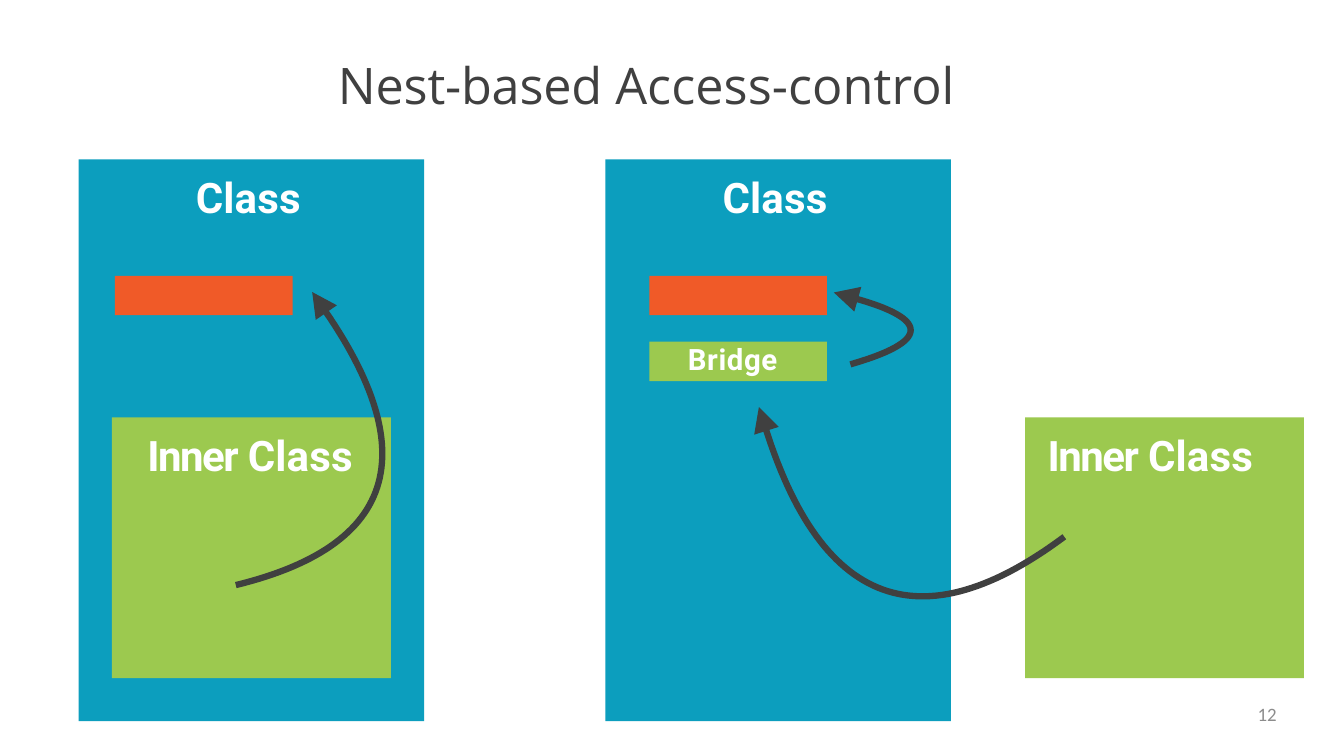
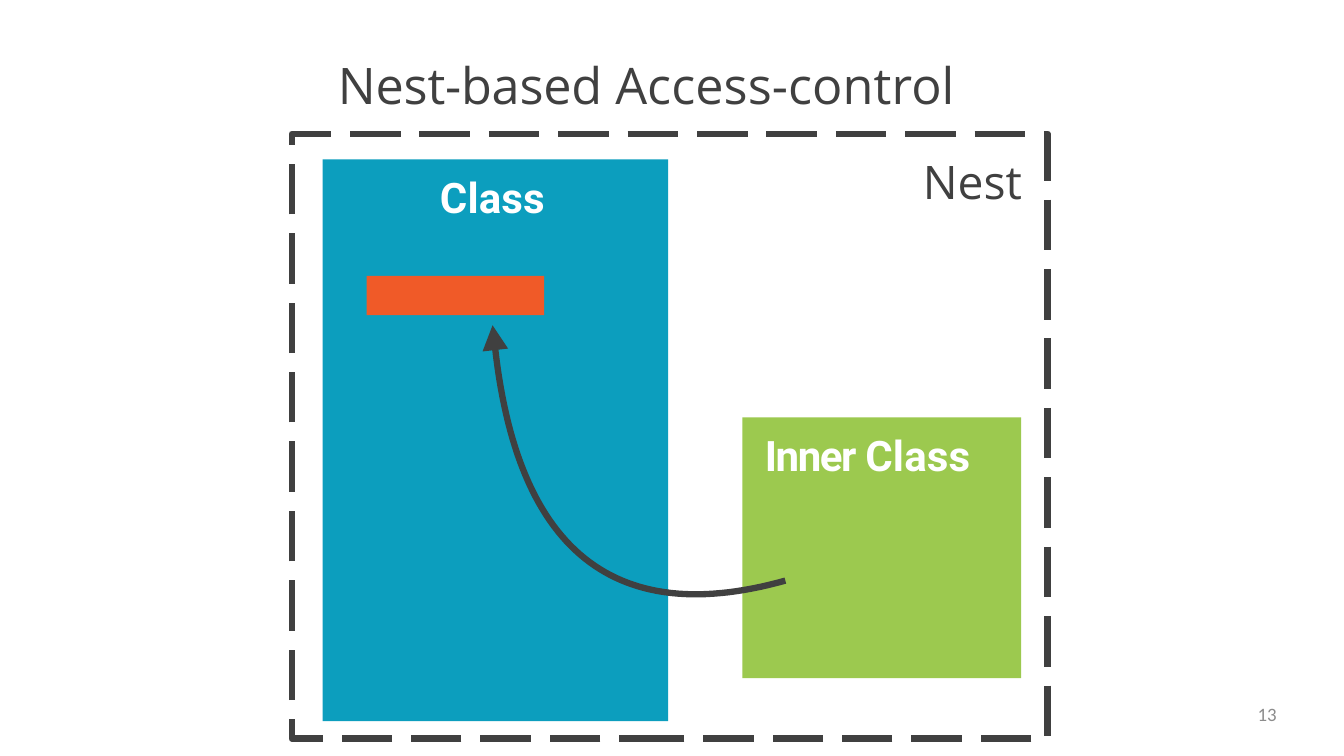
from dataclasses import dataclass
from math import hypot

from pptx import Presentation
from pptx import util as u
from pptx.dml.color import RGBColor
from pptx.enum import dml, shapes, text

COLS, ROWS = 17.78, 10
CELL = u.Inches(1)

Point = tuple[float, float]
Runs = tuple[tuple[str, float], ...]


@dataclass(frozen=True)
class Theme:
    ink: str = "404040"
    blue: str = "0C9EBE"
    green: str = "9CC94F"
    red: str = "F05A28"
    white: str = "FFFFFF"
    grey: str = "8C8C8C"
    head: str = "Open Sans"
    body: str = "Roboto"
    foot: str = "Calibri"
    title: int = 48
    nest: int = 44
    label: int = 40
    small: int = 28
    page: int = 18
    line: int = 6


@dataclass(frozen=True)
class Box:
    col: float
    row: float
    wide: float
    high: float

    def emu(self) -> list[int]:
        return [grid(n) for n in (self.col, self.row, self.wide, self.high)]


@dataclass(frozen=True)
class Style:
    font: str
    size: int
    color: str
    bold: bool = False


@dataclass(frozen=True)
class Arrow:
    start: Point
    bend: Point
    end: Point


THEME = Theme()
TITLE = Style(THEME.head, THEME.title, THEME.ink)
NEST = Style(THEME.head, THEME.nest, THEME.ink)
LABEL = Style(THEME.body, THEME.label, THEME.white, True)
SMALL = Style(THEME.body, THEME.small, THEME.white, True)
PAGE = Style(THEME.foot, THEME.page, THEME.grey)

TOP, INNER_TOP, FIELD_TOP, BRIDGE_TOP = 2.11, 5.52, 3.65, 4.52
BAR_WIDE, BAR_HIGH = 2.35, 0.52
LABEL_DROP, LABEL_HIGH = 0.16, 0.68
HEAD_LONG, HEAD_HALF, HEAD_OUT = 0.33, 0.17, 0.3
STEPS = 60


def grid(cells: float) -> int:
    return round(cells * CELL)


def paint(shape, fill: str | None = None, line: str | None = None) -> None:
    shape.shadow.inherit = False
    if fill:
        shape.fill.solid()
        shape.fill.fore_color.rgb = RGBColor.from_string(fill)
    else:
        shape.fill.background()
    if line:
        shape.line.color.rgb = RGBColor.from_string(line)
        shape.line.width = u.Pt(THEME.line)
    else:
        shape.line.fill.background()


def write(shape, runs: Runs, style: Style, align=text.PP_ALIGN.LEFT, indent: float = 0):
    frame = shape.text_frame
    frame.word_wrap = True
    frame.vertical_anchor = text.MSO_ANCHOR.TOP
    frame.margin_top = frame.margin_right = frame.margin_bottom = 0
    frame.margin_left = grid(indent)
    para = frame.paragraphs[0]
    para.alignment = align
    font = para.font
    font.name, font.size, font.bold = style.font, u.Pt(style.size), style.bold
    font.color.rgb = RGBColor.from_string(style.color)
    for words, space in runs:
        run = para.add_run()
        run.text = words
        if space:
            run._r.get_or_add_rPr().set("spc", str(round(space * 100)))
    return para


def note(slide, box: Box, runs: Runs, style: Style, align=text.PP_ALIGN.LEFT) -> None:
    write(slide.shapes.add_textbox(*box.emu()), runs, style, align)


def block(slide, box: Box, fill: str | None, line: str | None = None):
    shape = slide.shapes.add_shape(shapes.MSO_SHAPE.RECTANGLE, *box.emu())
    paint(shape, fill, line)
    return shape


def trace(slide, points: list[Point], close: bool):
    spots = [(grid(x), grid(y)) for x, y in points]
    pen = slide.shapes.build_freeform(*spots[0])
    pen.add_line_segments(spots[1:], close=close)
    return pen.convert_to_shape()


def draw(slide, arrow: Arrow) -> None:
    (ax, ay), (bx, by), (cx, cy) = arrow.start, arrow.bend, arrow.end
    curve = []
    for step in range(STEPS + 1):
        t = step / STEPS
        p, q, r = (1 - t) ** 2, 2 * t * (1 - t), t * t
        curve.append((p * ax + q * bx + r * cx, p * ay + q * by + r * cy))
    paint(trace(slide, curve, False), line=THEME.ink)

    size = hypot(bx - ax, by - ay)
    dx, dy = (bx - ax) / size, (by - ay) / size
    tip = (ax - HEAD_OUT * dx, ay - HEAD_OUT * dy)
    mx, my = tip[0] + HEAD_LONG * dx, tip[1] + HEAD_LONG * dy
    sides = [(mx + k * dy, my - k * dx) for k in (-HEAD_HALF, HEAD_HALF)]
    paint(trace(slide, [tip, *sides], True), fill=THEME.ink)


def outer(slide, col: float) -> None:
    block(slide, Box(col, TOP, 4.57, 7.43), THEME.blue)
    note(slide, Box(col + 1.55, TOP + LABEL_DROP, 2, LABEL_HIGH), (("Class", 0.2),), LABEL)


def inner(slide, col: float, inset: float = 0.3) -> None:
    block(slide, Box(col, INNER_TOP, 3.69, 3.45), THEME.green)
    box = Box(col + inset, INNER_TOP + LABEL_DROP, 3.2, LABEL_HIGH)
    note(slide, box, (("Inner ", -1.4), ("Class", 0.2)), LABEL)


def bar(slide, col: float, row: float, fill: str):
    return block(slide, Box(col, row, BAR_WIDE, BAR_HIGH), fill)


def bridge(slide, col: float) -> None:
    shape = bar(slide, col, BRIDGE_TOP, THEME.green)
    para = write(shape, (("Bridge", 0.6),), SMALL, indent=0.51)
    para.line_spacing = u.Pt(33.1)


def start(deck, page: int):
    slide = deck.slides.add_slide(deck.slide_layouts[6])
    title = (("Nest-based ", -0.2), ("Access-control", 0.1))
    note(slide, Box(4.47, 0.72, 8.86, 0.82), title, TITLE)
    note(slide, Box(12.8, 9.3, 4.09, 0.5), ((str(page), 0),), PAGE, text.PP_ALIGN.RIGHT)
    return slide


def bridged(deck) -> None:
    slide = start(deck, 12)
    outer(slide, 1.04)
    inner(slide, 1.48, 0.47)
    bar(slide, 1.52, FIELD_TOP, THEME.red)
    draw(slide, Arrow((4.3, 4.11), (6.27, 6.97), (3.12, 7.74)))
    outer(slide, 8.01)
    inner(slide, 13.56)
    bar(slide, 8.59, FIELD_TOP, THEME.red)
    bridge(slide, 8.59)
    draw(slide, Arrow((10.13, 5.67), (11.25, 9.21), (14.08, 7.1)))
    draw(slide, Arrow((11.32, 3.95), (12.81, 4.37), (11.25, 4.82)))


def nested(deck) -> None:
    slide = start(deck, 13)
    frame = block(slide, Box(3.86, 1.77, 10, 8), None, THEME.ink)
    frame.line.dash_style = dml.MSO_LINE.LONG_DASH
    note(slide, Box(12.21, 2.03, 1.5, 0.75), (("Nest", 0),), NEST)
    outer(slide, 4.27)
    inner(slide, 9.82)
    bar(slide, 4.85, FIELD_TOP, THEME.red)
    draw(slide, Arrow((6.55, 4.6), (7, 8.63), (10.39, 7.68)))


def main() -> None:
    deck = Presentation()
    deck.slide_width, deck.slide_height = grid(COLS), grid(ROWS)
    bridged(deck)
    nested(deck)
    deck.save("out.pptx")


main()
